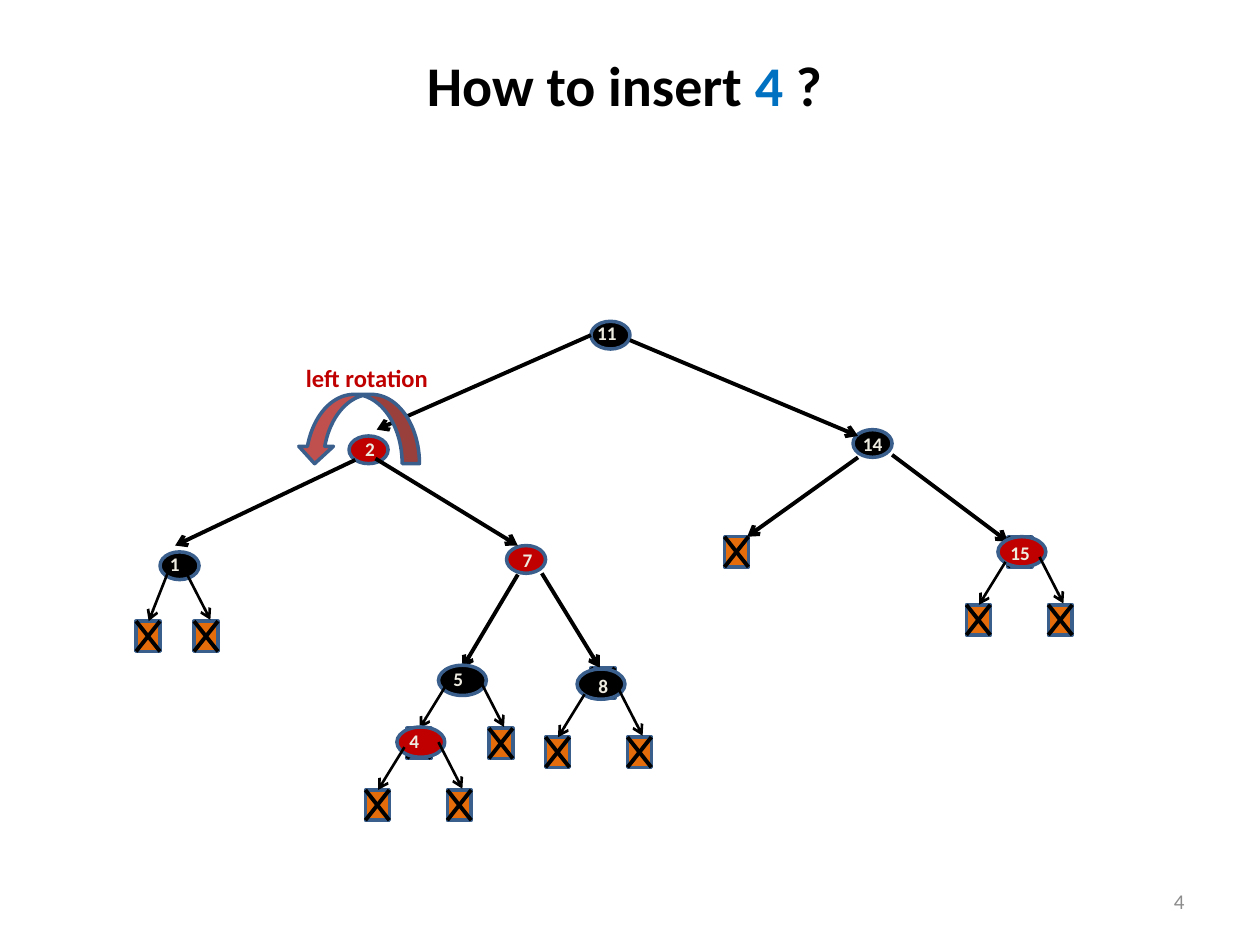
import dataclasses

import pptx
import pptx.dml.color
import pptx.enum.shapes
import pptx.enum.text
import pptx.oxml
import pptx.oxml.ns
import pptx.util
from pptx.util import Inches

SHAPE = pptx.enum.shapes.MSO_SHAPE
ALIGN = pptx.enum.text.PP_ALIGN
ANCHOR = pptx.enum.text.MSO_ANCHOR


@dataclasses.dataclass(frozen=True)
class Theme:
    font: str = "Calibri"
    black: str = "000000"
    red: str = "C00000"
    orange: str = "E46C0A"
    outline: str = "3A5F8C"
    accent: str = "0070C0"
    arrow: str = "C0504D"
    label: str = "EEECE1"
    number: str = "8C8C8C"
    title_size: float = 32
    note_size: float = 14
    number_size: float = 12
    label_size: float = 11
    outline_width: float = 2
    thick: float = 2.25
    thin: float = 1.5


@dataclasses.dataclass(frozen=True)
class Box:
    x: float
    y: float
    w: float
    h: float

    def inner(self, dx, dy, w, h):
        return Box(self.x + dx, self.y + dy, w, h)

    def lengths(self):
        return [Inches(v) for v in (self.x, self.y, self.w, self.h)]


T = Theme()
SMALL, WIDE = (0.31, 0.22), (0.38, 0.24)
LEAF = (0.19, 0.24)


def rgb(value):
    return pptx.dml.color.RGBColor.from_string(value)


def set_font(font, size, color, bold=True):
    font.name, font.size, font.bold = T.font, pptx.util.Pt(size), bold
    font.color.rgb = rgb(color)


def add_outlined(s, kind, box, fill):
    sp = s.shapes.add_shape(kind, *box.lengths())
    sp.shadow.inherit = False
    sp.fill.solid()
    sp.fill.fore_color.rgb = rgb(fill)
    sp.line.color.rgb = rgb(T.outline)
    sp.line.width = pptx.util.Pt(T.outline_width)
    return sp


def add_text(s, box, text, size, color, bold=True, wrap=False, align=ALIGN.LEFT):
    tf = s.shapes.add_textbox(*box.lengths()).text_frame
    tf.word_wrap = wrap
    p = tf.paragraphs[0]
    p.text, p.alignment = text, align
    set_font(p.font, size, color, bold)
    return tf


def add_line(s, box, x1, y1, x2, y2, width, arrow=True):
    ends = (box.x + x1, box.y + y1, box.x + x2, box.y + y2)
    cx = s.shapes.add_connector(
        pptx.enum.shapes.MSO_CONNECTOR.STRAIGHT, *[Inches(v) for v in ends])
    cx.line.color.rgb = rgb(T.black)
    cx.line.width = pptx.util.Pt(width)
    if arrow:
        tail = pptx.oxml.parse_xml(
            '<a:tailEnd type="arrow" %s/>' % pptx.oxml.ns.nsdecls("a"))
        cx.line._get_or_add_ln().append(tail)
    cx._element.spPr.append(pptx.oxml.parse_xml(
        "<a:effectLst %s/>" % pptx.oxml.ns.nsdecls("a")))


def add_leaf(s, box):
    add_outlined(s, SHAPE.RECTANGLE, box, T.orange)
    add_line(s, box, box.w, 0, 0, box.h, T.thick, arrow=False)
    add_line(s, box, 0, 0, box.w, box.h, T.thick, arrow=False)


def add_node(s, box, text, fill, label_dx, label_dy):
    add_outlined(s, SHAPE.OVAL, box, fill)
    wide = box.w == WIDE[0]
    width = 0.43 if wide else 0.36 if len(text) > 1 else 0.28
    add_text(s, box.inner(label_dx, label_dy, width, 0.29), text,
             T.label_size, T.label, wrap=wide)


def add_twigs(s, node, drop):
    if node.w == WIDE[0]:
        leaves = (-0.25, 0.4)
        twigs = ((0.06, 0.2, -0.15, 0.54), (0.33, 0.16, 0.52, 0.53))
        shift = drop - 0.54
    else:
        leaves = (-0.19, 0.27)
        twigs = ((0.06, 0.17, -0.09, 0.55), (0.21, 0.17, 0.4, 0.54))
        shift = 0
    for dx in leaves:
        add_leaf(s, node.inner(dx, drop, *LEAF))
    for x1, y1, x2, y2 in twigs:
        add_line(s, node, x1, y1 + shift, x2, y2 + shift, T.thin)


def draw_title(s, box):
    sp = s.shapes.title
    sp.left, sp.top, sp.width, sp.height = box.lengths()
    tf = sp.text_frame
    tf.vertical_anchor, tf.margin_top = ANCHOR.TOP, Inches(0.1)
    p = tf.paragraphs[0]
    p.alignment = ALIGN.CENTER
    for text, color in (("How to insert ", T.black), ("4 ", T.accent), ("?", T.black)):
        r = p.add_run()
        r.text = text
        set_font(r.font, T.title_size, color)


def draw_tree(s, box):
    small_nodes = [
        ("11", 3.69, 0.05, T.black, -0.05, -0.05),
        ("14", 5.77, 0.91, T.black, -0.02, -0.03),
        ("7", 3.02, 1.83, T.red, 0.03, -0.03),
        ("2", 1.77, 0.96, T.red, 0.03, -0.04),
        ("1", 0.27, 1.88, T.black, -0.02, -0.05),
    ]
    wide_nodes = [
        ("15", 6.92, 1.76, T.red, 0, -0.01, 0.54),
        ("8", 3.58, 2.81, T.black, 0.07, -0.01, 0.54),
        ("5", 2.48, 2.78, T.black, 0.02, -0.03, 0.5),
        ("4", 2.15, 3.27, T.red, 0, -0.03, 0.5),
    ]
    edges = [
        (3.69, 0.16, 1.99, 0.91), (4, 0.2, 5.81, 0.96),
        (1.82, 1.15, 0.39, 1.83), (1.98, 1.14, 3.11, 1.83),
        (3.11, 2.06, 2.67, 2.8), (3.3, 2.05, 3.76, 2.8),
        (5.81, 1.13, 4.93, 1.76), (6.08, 1.11, 7, 1.8),
    ]
    for x, y in ((3.69, 2.8), (7, 1.76), (4.75, 1.76)):
        add_leaf(s, box.inner(x, y, *LEAF))
    for text, x, y, fill, dx, dy in small_nodes:
        node = box.inner(x, y, *SMALL)
        add_node(s, node, text, fill, dx, dy)
        if text == "1":
            add_twigs(s, node, 0.55)
    for edge in edges:
        add_line(s, box, *edge, T.thick)
    for text, x, y, fill, dx, dy, drop in wide_nodes:
        node = box.inner(x, y, *WIDE)
        add_node(s, node, text, fill, dx, dy)
        add_twigs(s, node, drop)


def draw_rotation(s, box):
    sp = add_outlined(s, SHAPE.CURVED_DOWN_ARROW, box.inner(0.03, 0.3, 0.97, 0.55), T.arrow)
    sp._element.spPr.xfrm.set("flipH", "1")
    add_text(s, box.inner(0, 0, box.w, 0.34), "left rotation", T.note_size, T.red)


def draw_number(s, box):
    tf = add_text(s, box, "4", T.number_size, T.number, bold=False,
                  wrap=True, align=ALIGN.RIGHT)
    tf.vertical_anchor = ANCHOR.MIDDLE


def main():
    prs = pptx.Presentation()
    prs.slide_width, prs.slide_height = Inches(10), Inches(7.5)
    s = prs.slides.add_slide(prs.slide_layouts[5])
    draw_title(s, Box(0.08, 0.3, 9.75, 1.25))
    draw_tree(s, Box(1, 2.5, 7.5, 4))
    draw_rotation(s, Box(2.33, 2.83, 1.18, 0.85))
    draw_number(s, Box(7.17, 6.95, 2.33, 0.4))
    prs.save("out.pptx")


if __name__ == "__main__":
    main()
